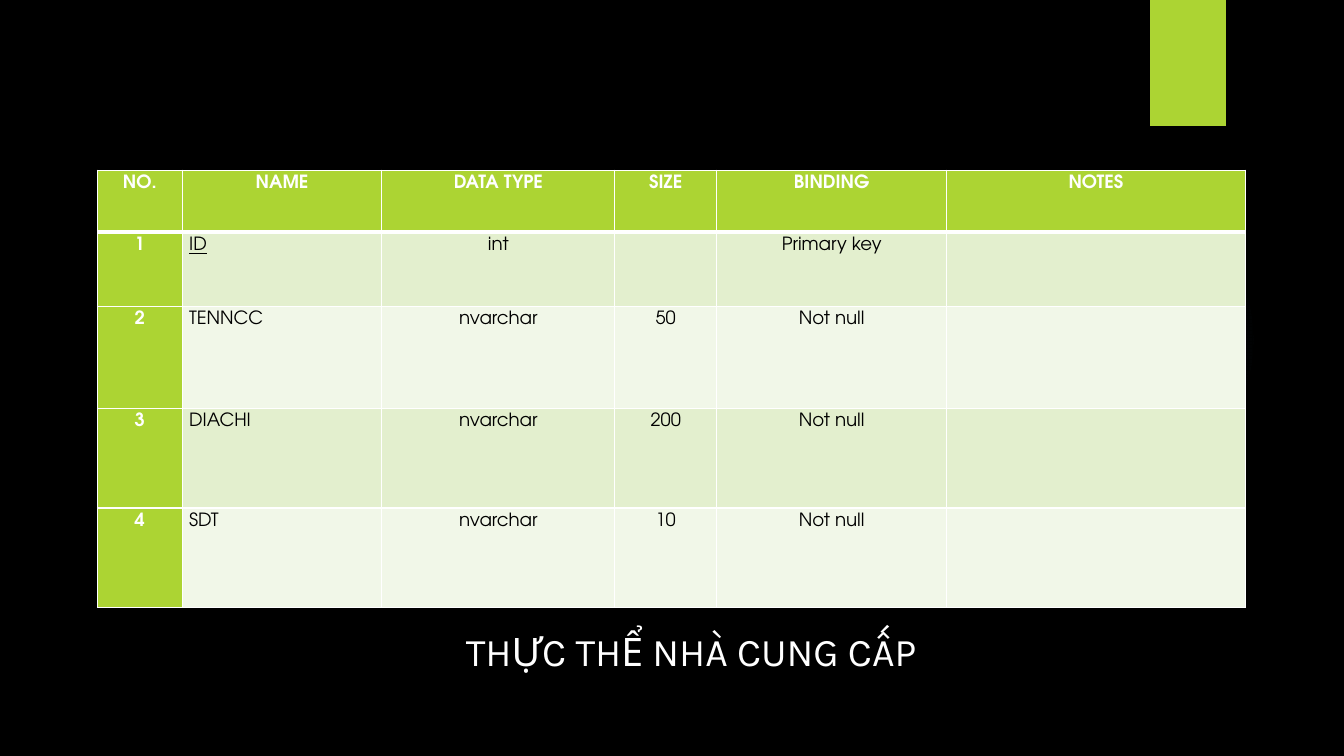
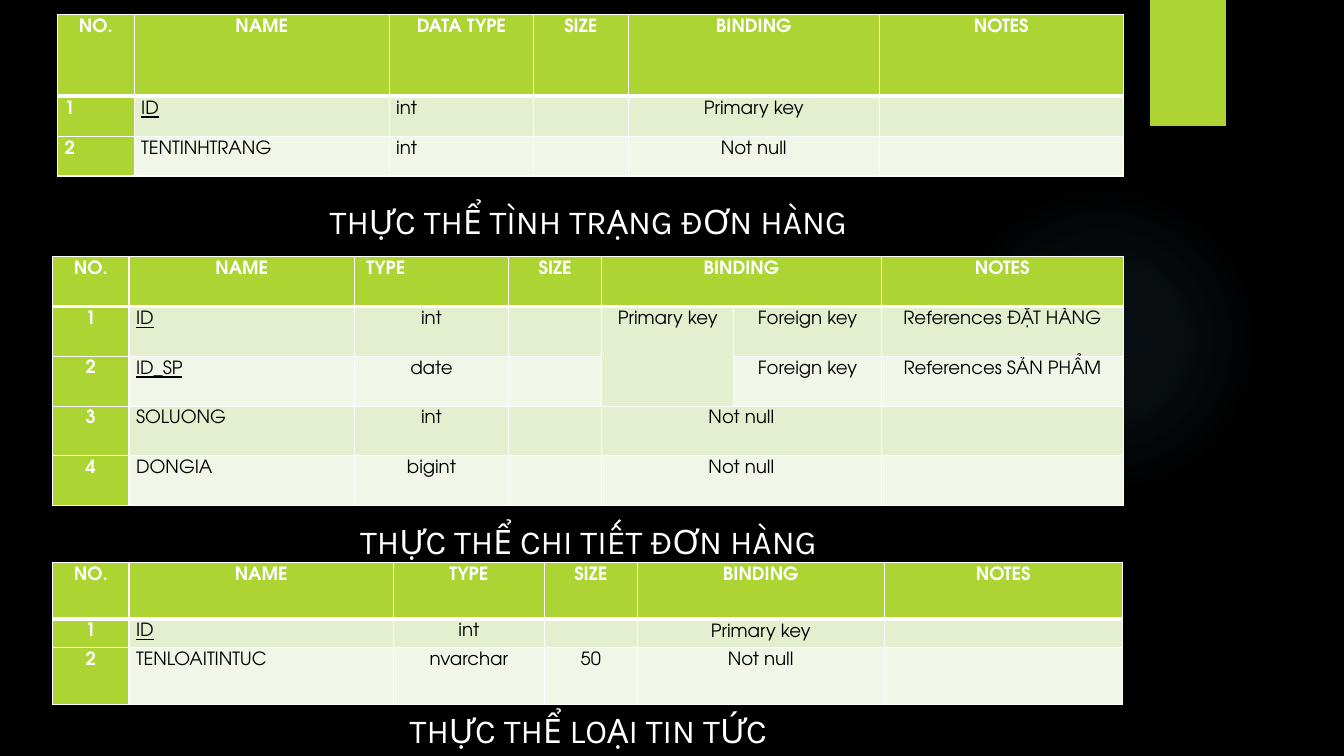
from dataclasses import dataclass
from typing import NamedTuple

from pptx import Presentation
from pptx.dml.color import RGBColor
from pptx.enum.shapes import MSO_SHAPE
from pptx.enum.text import PP_ALIGN
from pptx.oxml import parse_xml
from pptx.oxml.ns import nsdecls
from pptx.util import Emu, Inches, Pt

RECTANGLE, ELLIPSE = MSO_SHAPE.RECTANGLE, MSO_SHAPE.OVAL
LEFT, CENTER = PP_ALIGN.LEFT, PP_ALIGN.CENTER

BLACK, WHITE, LIME, GLOW = "000000", "FFFFFF", "ACD433", "7AC4F0"
ROW_FILLS = ("E3EFCE", "F1F7E8")
TITLE_FONT, TABLE_FONT = "Karla", "TeX Gyre Adventor"
TABLE_SIZE = 13
CAPTION_WIDTH = 43.13
PRIMARY_KEY = "Primary key"
NAME_COLUMN = 1

SLIDE_WIDTH, SLIDE_HEIGHT = Inches(13.33), Inches(7.5)


def across(percent: float) -> Emu:
    return Emu(round(SLIDE_WIDTH * percent / 100))


def down(percent: float) -> Emu:
    return Emu(round(SLIDE_HEIGHT * percent / 100))


class Area(NamedTuple):
    """Place on the slide, in percent of its width and height."""
    left: float
    top: float
    width: float
    height: float

    def lengths(self) -> tuple[Emu, Emu, Emu, Emu]:
        return across(self.left), down(self.top), across(self.width), down(self.height)


class Spacing(NamedTuple):
    line: float
    after: float


@dataclass(frozen=True)
class Entity:
    """One entity's table; columns and rows are shares of its area."""
    caption: str
    caption_top: float
    area: Area
    columns: tuple[float, ...]
    rows: tuple[float, ...]
    cells: tuple[tuple[str, ...], ...]
    spacing: Spacing
    key_spacing: Spacing
    left_columns: tuple[int, ...] = (NAME_COLUMN,)
    left_headers: tuple[int, ...] = ()
    merges: tuple[tuple[int, int, int, int], ...] = ()


@dataclass(frozen=True)
class EntitySlide:
    caption_center: float
    caption_size: int
    caption_height: float
    entities: tuple[Entity, ...]


LOOSE, NORMAL, KEY = Spacing(1.3, 3), Spacing(1.25, 8), Spacing(1.3, 6)

SUPPLIER = Entity(
    "THỰC THỂ NHÀ CUNG CẤP", 82.27, Area(7.25, 22.53, 85.4, 57.87),
    (0.84, 1.98, 2.31, 1.01, 2.28, 2.96), (0.61, 0.74, 1.01, 0.99, 0.99),
    (
        ("NO.", "NAME", "DATA TYPE", "SIZE", "BINDING", "NOTES"),
        ("1", "ID", "int", "", PRIMARY_KEY, ""),
        ("2", "TENNCC", "nvarchar", "50", "Not null", ""),
        ("3", "DIACHI", "nvarchar", "200", "Not null", ""),
        ("4", "SDT", "nvarchar", "10", "Not null", ""),
    ),
    LOOSE, LOOSE,
)
ORDER_STATUS = Entity(
    "THỰC THỂ TÌNH TRẠNG ĐƠN HÀNG", 25.87, Area(4.28, 1.95, 79.3, 21.33),
    (0.76, 2.53, 1.43, 0.94, 2.49, 2.42), (0.81, 0.4, 0.39),
    (
        ("NO.", "NAME", "DATA TYPE", "SIZE", "BINDING", "NOTES"),
        ("1", "ID", "int", "", PRIMARY_KEY, ""),
        ("2", "TENTINHTRANG", "int", "", "Not null", ""),
    ),
    NORMAL, KEY, left_columns=(0, NAME_COLUMN, 2),
)
ORDER_DETAIL = Entity(
    "THỰC THỂ CHI TIẾT ĐƠN HÀNG", 68.27, Area(3.9, 33.97, 79.7, 32.93),
    (0.76, 2.23, 1.53, 0.92, 1.31, 1.46, 2.4), (1, 1, 1, 1, 1),
    (
        ("NO.", "NAME", " TYPE", "SIZE", "BINDING", "", "NOTES"),
        ("1", "ID", "int", "", PRIMARY_KEY, "Foreign key", "References ĐẶT HÀNG"),
        ("2", "ID_SP", "date", "", "", "Foreign key", "References SẢN PHẨM"),
        ("3", "SOLUONG", "int", "", "Not null", "", ""),
        ("4", "DONGIA", "bigint", "", "Not null", "", ""),
    ),
    NORMAL, NORMAL, left_headers=(2,),
    merges=((0, 4, 0, 5), (1, 4, 2, 4), (3, 4, 3, 5), (4, 4, 4, 5)),
)
NEWS_TYPE = Entity(
    "THỰC THỂ LOẠI TIN TỨC", 93.2, Area(3.9, 74.4, 79.6, 18.8),
    (0.76, 2.62, 1.5, 0.92, 2.45, 2.36), (0.56, 0.28, 0.57),
    (
        ("NO.", "NAME", "TYPE", "SIZE", "BINDING", "NOTES"),
        ("1", "ID", "int", "", PRIMARY_KEY, ""),
        ("2", "TENLOAITINTUC", "nvarchar", "50", "Not null", ""),
    ),
    NORMAL, KEY,
)

SLIDES = (
    EntitySlide(51.42, 28, 7.6, (SUPPLIER,)),
    EntitySlide(43.77, 24, 6.67, (ORDER_STATUS, ORDER_DETAIL, NEWS_TYPE)),
)


def rgb(color: str) -> RGBColor:
    return RGBColor.from_string(color)


def write(frame, text: str, *, font: str, size: float, color: str, bold: bool = False,
          underline: bool = False, align=CENTER, spacing: Spacing | None = None) -> None:
    paragraph = frame.paragraphs[0]
    paragraph.alignment = align
    if spacing:
        paragraph.line_spacing = spacing.line
        paragraph.space_after = Pt(spacing.after)
    if not text:
        # Keeps an empty cell from growing to the default text size
        paragraph._p.get_or_add_endParaRPr().set("sz", str(size * 100))
        return
    run = paragraph.add_run()
    run.text = text
    run.font.name, run.font.size = font, Pt(size)
    run.font.bold, run.font.underline = bold, underline
    run.font.color.rgb = rgb(color)


def add_plain_shape(slide, kind, area: Area, color: str):
    shape = slide.shapes.add_shape(kind, *area.lengths())
    shape.shadow.inherit = False
    shape.fill.solid()
    shape.fill.fore_color.rgb = rgb(color)
    shape.line.fill.background()
    return shape


def add_backdrop(slide) -> None:
    slide.background.fill.solid()
    slide.background.fill.fore_color.rgb = rgb(BLACK)
    # Faint round glow
    glow = add_plain_shape(slide, ELLIPSE, Area(70.58, 24.4, 23.1, 41.07), GLOW)
    stops = "".join(
        f'<a:gs pos="{position * 1000}"><a:srgbClr val="{GLOW}">'
        f'<a:alpha val="{alpha * 1000}"/></a:srgbClr></a:gs>'
        for position, alpha in ((0, 7), (36, 6), (69, 0)))
    gradient = parse_xml(
        f'<a:gradFill {nsdecls("a")} rotWithShape="1"><a:gsLst>{stops}</a:gsLst>'
        '<a:path path="circle"><a:fillToRect l="50000" t="50000" r="50000" b="50000"/>'
        '</a:path></a:gradFill>')
    properties = glow._element.spPr
    properties.replace(properties.find("{*}solidFill"), gradient)
    # Bookmark band
    add_plain_shape(slide, RECTANGLE, Area(85.58, 0, 5.63, 16.67), LIME)


def set_borders(cell, top: float, bottom: float) -> None:
    properties = cell._tc.get_or_add_tcPr()
    for side, width in (("L", 1), ("R", 1), ("T", top), ("B", bottom)):
        properties.append(parse_xml(
            f'<a:ln{side} {nsdecls("a")} w="{Pt(width)}"><a:solidFill>'
            f'<a:srgbClr val="{WHITE}"/></a:solidFill></a:ln{side}>'))


def format_cell(cell, entity: Entity, row: int, column: int) -> None:
    text = entity.cells[row][column]
    header = row == 0
    strong = header or column == 0
    left_columns = entity.left_headers if header else entity.left_columns
    cell.margin_left = cell.margin_right = Inches(0.07)
    cell.margin_top = cell.margin_bottom = 0
    set_borders(cell, top=3 if row == 1 else 1, bottom=3 if header else 1)
    cell.fill.solid()
    cell.fill.fore_color.rgb = rgb(LIME if strong else ROW_FILLS[(row - 1) % 2])
    write(cell.text_frame, text, font=TABLE_FONT, size=TABLE_SIZE,
          color=WHITE if strong else BLACK, bold=strong,
          underline=column == NAME_COLUMN and text.startswith("ID"),
          align=LEFT if column in left_columns else CENTER,
          spacing=entity.key_spacing if text == PRIMARY_KEY else entity.spacing)


def add_entity_table(slide, entity: Entity) -> None:
    left, top, width, height = entity.area.lengths()
    table = slide.shapes.add_table(
        len(entity.rows), len(entity.columns), left, top, width, height).table
    for column, share in zip(table.columns, entity.columns):
        column.width = Emu(round(width * share / sum(entity.columns)))
    for row, share in zip(table.rows, entity.rows):
        row.height = Emu(round(height * share / sum(entity.rows)))
    for row in range(len(entity.rows)):
        for column in range(len(entity.columns)):
            format_cell(table.cell(row, column), entity, row, column)
    for first_row, first_column, last_row, last_column in entity.merges:
        table.cell(first_row, first_column).merge(table.cell(last_row, last_column))


def add_caption(slide, entity: Entity, layout: EntitySlide) -> None:
    area = Area(layout.caption_center - CAPTION_WIDTH / 2, entity.caption_top,
                CAPTION_WIDTH, layout.caption_height)
    frame = slide.shapes.add_textbox(*area.lengths()).text_frame
    frame.word_wrap = True
    write(frame, entity.caption, font=TITLE_FONT, size=layout.caption_size, color=WHITE)


def main() -> None:
    deck = Presentation()
    deck.slide_width, deck.slide_height = SLIDE_WIDTH, SLIDE_HEIGHT
    blank = deck.slide_layouts[6]
    for layout in SLIDES:
        slide = deck.slides.add_slide(blank)
        add_backdrop(slide)
        for entity in layout.entities:
            add_caption(slide, entity, layout)
            add_entity_table(slide, entity)
    deck.save("out.pptx")


if __name__ == "__main__":
    main()
